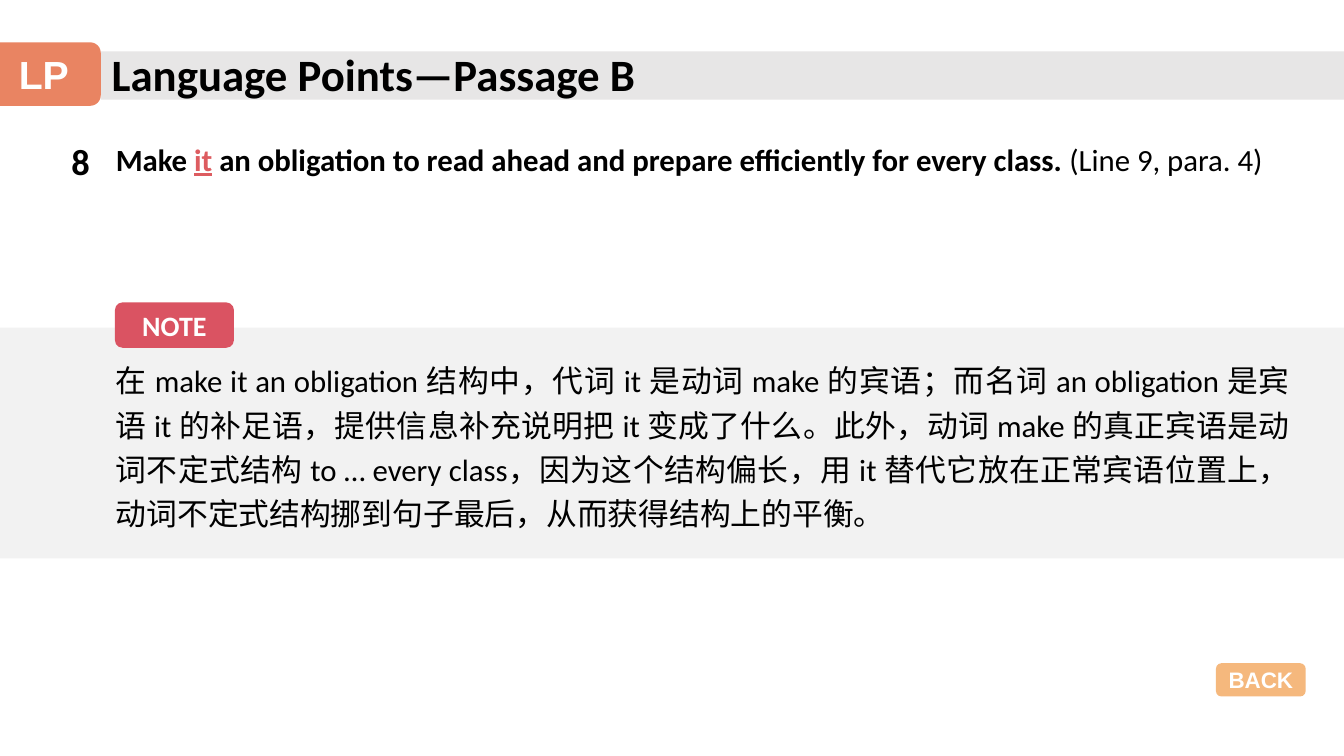
import dataclasses

import pptx
import pptx.dml.color
import pptx.enum.shapes
import pptx.enum.text
import pptx.util

Inches = pptx.util.Inches
Align = pptx.enum.text.PP_ALIGN
Preset = pptx.enum.shapes.MSO_SHAPE


@dataclasses.dataclass(frozen=True)
class Theme:
    """Colours, fonts and type sizes of the slide."""
    ink: str = "000000"
    paper: str = "FFFFFF"
    title_bar: str = "E7E6E6"
    note_band: str = "F2F2F2"
    section_tab: str = "E98462"
    back_button: str = "F5B87D"
    note_label: str = "DA5362"
    highlight: str = "DD5C60"
    body_font: str = "Calibri"
    label_font: str = "Arial"
    title_size: int = 32
    tab_size: int = 28
    number_size: int = 26
    body_size: int = 22
    note_label_size: int = 20
    back_size: int = 16


THEME = Theme()
NOTE = (
    "在 make it an obligation 结构中，代词 it 是动词 make 的宾语；而名词 an obligation "
    "是宾语 it 的补足语，提供信息补充说明把 it 变成了什么。此外，动词 make 的真正宾语是动词不定式结构 "
    "to … every class，因为这个结构偏长，用 it 替代它放在正常宾语位置上，"
    "动词不定式结构挪到句子最后，从而获得结构上的平衡。"
)


def add_run(paragraph, text, size, color=THEME.ink, name=THEME.body_font, **formats):
    """Append a run and apply its font formats."""
    run = paragraph.add_run()
    run.text = text
    run.font.color.rgb = pptx.dml.color.RGBColor.from_string(color)
    values = {"size": pptx.util.Pt(size), "name": name, "bold": True} | formats
    for attribute, value in values.items():
        setattr(run.font, attribute, value)


def add_block(slide, box, color, preset=Preset.RECTANGLE):
    """Add a plain filled shape without outline or shadow."""
    block = slide.shapes.add_shape(preset, *map(Inches, box))
    block.shadow.inherit = False
    block.fill.solid()
    block.fill.fore_color.rgb = pptx.dml.color.RGBColor.from_string(color)
    block.line.fill.background()
    return block


def add_label(slide, box, text, color, size, font):
    """Add a rounded label with centred white text."""
    frame = add_block(slide, box, color, Preset.ROUNDED_RECTANGLE).text_frame
    formats = {"word_wrap": False, "vertical_anchor": pptx.enum.text.MSO_ANCHOR.MIDDLE}
    for attribute, value in formats.items():
        setattr(frame, attribute, value)
    frame.paragraphs[0].alignment = Align.CENTER
    add_run(frame.paragraphs[0], text, size, THEME.paper, font)


def add_text(slide, box, alignment=Align.LEFT):
    """Add a wrapping text box and return its paragraph."""
    frame = slide.shapes.add_textbox(*map(Inches, box)).text_frame
    formats = {"word_wrap": True, "auto_size": pptx.enum.text.MSO_AUTO_SIZE.SHAPE_TO_FIT_TEXT}
    for attribute, value in formats.items():
        setattr(frame, attribute, value)
    frame.paragraphs[0].alignment = alignment
    return frame.paragraphs[0]


def add_header(slide, left, top, width, height):
    """Place the title bar, section tab and title."""
    tab_width, overhang, inset = 1.0, 0.13, 0.09
    add_block(slide, (left + tab_width, top + inset, width - tab_width, 0.48), THEME.title_bar)
    add_label(slide, (left - overhang, top, tab_width + overhang, height), "LP",
              THEME.section_tab, THEME.tab_size, THEME.label_font)
    title = add_text(slide, (left + 1.01, top - 0.01, 6.79, 0.64))
    add_run(title, "Language Points—Passage B", THEME.title_size)


def add_sentence(slide, left, top, width, height):
    """Place the numbered example sentence."""
    number_width = 0.44
    number = add_text(slide, (left, top, 0.63, height))
    add_run(number, "8", THEME.number_size)
    sentence = add_text(slide, (left + number_width, top + 0.02, width - number_width, 0.47),
                        Align.JUSTIFY)
    for text, formats in (
        ("Make ", {}),
        ("it", {"color": THEME.highlight, "underline": True}),
        (" an obligation to read ahead and prepare efficiently for every class. ", {}),
        ("(Line 9, para. 4)", {"bold": False}),
    ):
        add_run(sentence, text, THEME.body_size, **formats)


def add_note(slide, left, top, width, height):
    """Place the note band with its label and explanation."""
    label_height = 0.45
    add_block(slide, (left, top, width, height), THEME.note_band)
    explanation = add_text(slide, (left + 1.05, top + 0.22, 11.84, 1.84), Align.JUSTIFY)
    explanation.line_spacing = 1.2
    add_run(explanation, NOTE, THEME.body_size, bold=False)
    add_label(slide, (left + 1.14, top - 0.25, 1.18, label_height), "NOTE",
              THEME.note_label, THEME.note_label_size, THEME.body_font)


def main():
    """Build and save the slide."""
    deck = pptx.Presentation()
    deck.slide_width, deck.slide_height = Inches(13.33), Inches(7.5)
    slide = deck.slides.add_slide(deck.slide_layouts[6])
    add_header(slide, 0, 0.42, 13.33, 0.63)
    add_sentence(slide, 0.61, 1.33, 12.21, 0.54)
    add_note(slide, 0, 3.25, 13.33, 2.29)
    add_label(slide, (12.06, 6.58, 0.89, 0.33), "BACK",
              THEME.back_button, THEME.back_size, THEME.label_font)
    deck.save("out.pptx")


if __name__ == "__main__":
    main()
